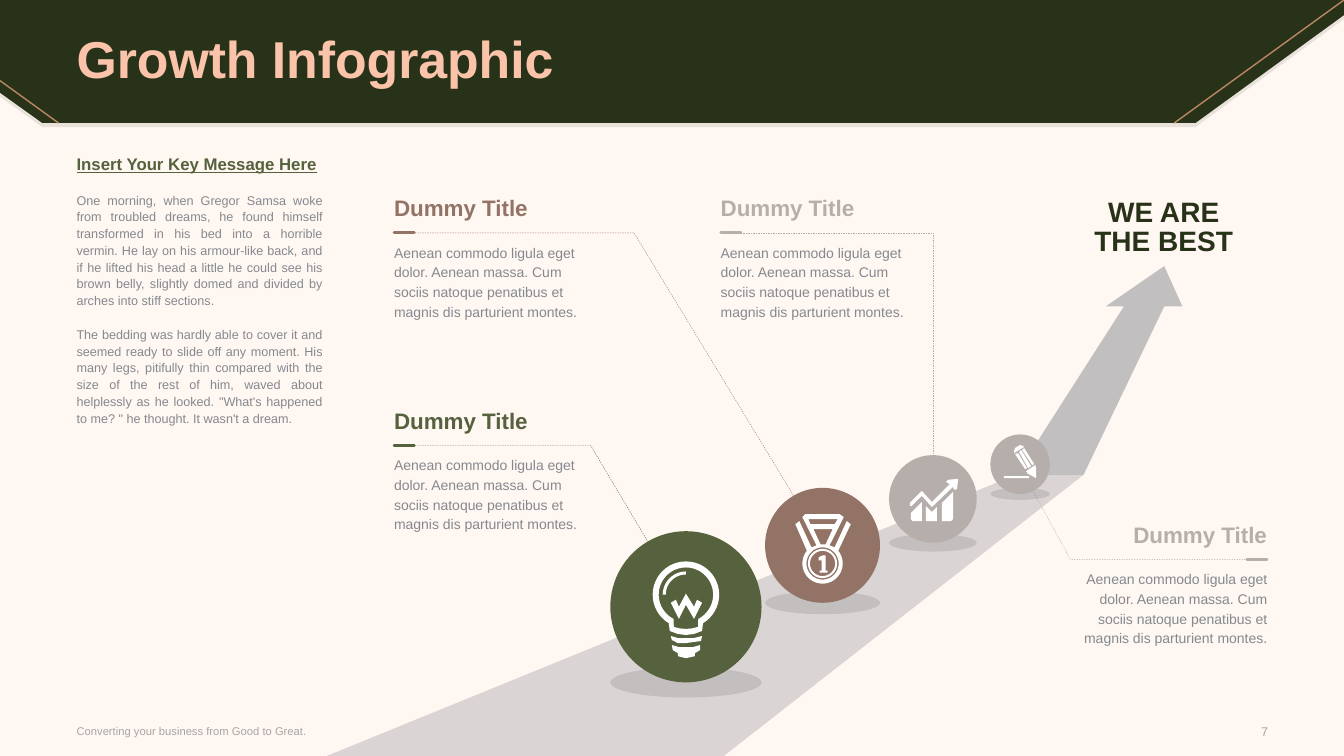
from dataclasses import dataclass
from math import cos, radians, sin

from lxml.etree import SubElement
from pptx import Presentation
from pptx.dml.color import RGBColor
from pptx.enum.dml import MSO_LINE
from pptx.enum.shapes import MSO_CONNECTOR, MSO_SHAPE
from pptx.enum.text import MSO_ANCHOR as Anchor, MSO_AUTO_SIZE as AutoSize, PP_ALIGN as Align
from pptx.oxml.ns import qn
from pptx.util import Inches, Pt

CELL = Inches(0.1)  # one column or row of the grid
COLUMNS, ROWS = 133.33, 75


@dataclass(frozen=True)
class Theme:
    font: str = "Arial"
    paper: str = "FFF7F2"
    forest: str = "283218"
    peach: str = "FBC4AA"
    copper: str = "B98763"
    green: str = "56613D"
    brown: str = "927365"
    taupe: str = "B6AEAB"
    gray: str = "85898F"
    footer: str = "A6A6A6"
    white: str = "FFFFFF"
    black: str = "000000"
    title_size: float = 37
    slogan_size: float = 20
    heading_size: float = 16
    message_size: float = 12
    body_size: float = 10
    small_size: float = 9
    footer_size: float = 8


def grid(*cells):
    return [round(cell * CELL) for cell in cells]


def arc(column, row, radius, start=0, end=360):
    """Points along an arc; angles in degrees, clockwise from the right."""
    steps = 40
    angles = [radians(start + (end - start) * step / steps) for step in range(steps + 1)]
    return [(column + radius * cos(angle), row + radius * sin(angle)) for angle in angles]


class InfographicSlide:
    def __init__(self, presentation, theme):
        self.theme = theme
        self.slide = presentation.slides.add_slide(presentation.slide_layouts[5])
        self.shapes = self.slide.shapes
        background = self.slide.background.fill
        background.solid()
        background.fore_color.rgb = RGBColor.from_string(theme.paper)

    def paint(self, shape, color, opacity=100):
        shape.shadow.inherit = False
        shape.fill.solid()
        shape.fill.fore_color.rgb = RGBColor.from_string(color)
        shape.line.fill.background()
        if opacity < 100:
            tint = shape._element.spPr.find(".//" + qn("a:srgbClr"))
            SubElement(tint, qn("a:alpha")).set("val", str(opacity * 1000))

    def outline(self, contours, closed=True):
        first, *others = [[grid(*point) for point in contour] for contour in contours]
        builder = self.shapes.build_freeform(*first[0])
        builder.add_line_segments(first[1:], close=closed)
        for contour in others:
            builder.move_to(*contour[0])
            builder.add_line_segments(contour[1:], close=closed)
        return builder.convert_to_shape()

    def polygon(self, points, color, opacity=100):
        self.paint(self.outline([points]), color, opacity)

    def leader(self, points, color):
        shape = self.outline([points], closed=False)
        shape.shadow.inherit = False
        shape.fill.background()
        shape.line.color.rgb = RGBColor.from_string(color)
        shape.line.width = Pt(0.25)
        shape.line.dash_style = MSO_LINE.DASH

    def line(self, start, end, color, width):
        connector = self.shapes.add_connector(MSO_CONNECTOR.STRAIGHT, *grid(*start, *end))
        connector.line.color.rgb = RGBColor.from_string(color)
        connector.line.width = Pt(width)
        properties = connector._element.spPr
        properties.find(qn("a:ln")).set("cap", "rnd")
        SubElement(properties, qn("a:effectLst"))

    def ellipse(self, area, color, opacity=100):
        self.paint(self.shapes.add_shape(MSO_SHAPE.OVAL, *grid(*area)), color, opacity)

    def milestone(self, center, diameter, color, icon):
        """A ball with its ground shadow; icon points are tenths of a cell from the center."""
        column, row = center
        radius = diameter / 2
        self.ellipse((column - radius, row + 0.8 * radius, diameter, 0.2 * diameter),
                     self.theme.black, 10)
        self.ellipse((column - radius, row - radius, diameter, diameter), color)
        contours = [[(column + x / 10, row + y / 10) for x, y in contour] for contour in icon]
        self.paint(self.outline(contours), self.theme.white)

    def fill_frame(self, frame, texts, size, color, bold=False, align=Align.LEFT,
                   spacing=None, gap=0, anchor=Anchor.TOP):
        frame.word_wrap = True
        frame.auto_size = AutoSize.NONE
        frame.vertical_anchor = anchor
        frame.margin_left = frame.margin_right = frame.margin_top = frame.margin_bottom = 0
        for index, text in enumerate(texts):
            paragraph = frame.paragraphs[0] if index == 0 else frame.add_paragraph()
            paragraph.text = text
            paragraph.alignment = align
            paragraph.line_spacing = spacing
            paragraph.space_before = Pt(gap if index else 0)
            font = paragraph.font
            font.name, font.size, font.bold = self.theme.font, Pt(size), bold
            font.color.rgb = RGBColor.from_string(color)

    def text(self, area, texts, size, color, **style):
        frame = self.shapes.add_textbox(*grid(*area)).text_frame
        self.fill_frame(frame, texts, size, color, **style)
        return frame

    def title(self, area, text):
        title = self.shapes.title
        title.left, title.top, title.width, title.height = grid(*area)
        self.fill_frame(title.text_frame, [text], self.theme.title_size, self.theme.peach,
                        bold=True, spacing=0.9, anchor=Anchor.MIDDLE)
        self.shapes._spTree.append(title._element)  # in front of the header band

    def caption(self, column, row, color, align=Align.LEFT):
        """Heading, short rule at the given row, and body text."""
        width, rule = 19.3, 2
        start = column + width - rule if align == Align.RIGHT else column
        self.text((column, row + 0.85, width, 7.9), [CAPTION_BODY], self.theme.body_size,
                  self.theme.gray, align=align, spacing=Pt(14))
        self.line((start, row), (start + rule, row), color, 2)
        self.text((column, row - 3.8, width, 2.7), ["Dummy Title"], self.theme.heading_size,
                  color, bold=True, align=align)


CAPTION_BODY = ("Aenean commodo ligula eget dolor. Aenean massa. Cum sociis natoque "
                "penatibus et magnis dis parturient montes.")
MESSAGE = [
    "Insert Your Key Message Here",
    "One morning, when Gregor Samsa woke from troubled dreams, he found himself transformed in "
    "his bed into a horrible vermin. He lay on his armour-like back, and if he lifted his head a "
    "little he could see his brown belly, slightly domed and divided by arches into stiff sections.",
    "The bedding was hardly able to cover it and seemed ready to slide off any moment. His many "
    "legs, pitifully thin compared with the size of the rest of him, waved about helplessly as he "
    "looked. \"What's happened to me? \" he thought. It wasn't a dream.",
]

# Icons, as lists of contours
BULB = [
    arc(0, -12, 33, 121, 419) + [(16, 24), (8, 27), (0, 28), (-8, 27), (-16, 24)],
    arc(0, -12, 27, 117, 423) + [(12, 20), (6, 21.5), (0, 22), (-6, 21.5), (-12, 20)],
    arc(0, -12, 23, 180, 270) + arc(0, -12, 20, 270, 180),
    [(-15, 29), (-14, 33), (-8, 36), (0, 36), (15, 34), (16, 29), (8, 31), (-8, 31)],
    [(-14, 38), (-13, 43), (-8, 46), (-8, 49), (0, 51), (9, 49), (9, 46), (14, 43), (14, 38),
     (7, 40), (-7, 40)],
    [(8, 0), (0, -13), (-7, 0), (-10, -7), (-15, -4), (-7, 12), (0, -2), (8, 12), (16, -4),
     (11, -7)],
]
MEDAL = [
    [(28, -21), (24, -24), (12, 2), (7, 0), (21, -28), (17, -31), (-17, -31), (-20, -28), (-6, 0),
     (-11, 2), (-23, -24), (-27, -21)] + arc(0, 18, 20, 219, -39),
    [(-14, -26), (15, -26), (12, -21), (-12, -21)],
    [(-9, -16), (10, -16), (3, -1), (-2, -1)],
    *[arc(0, 18, radius) for radius in (16, 14.5, 12.5)],
    [(3, 10), (0, 10), (-4, 12), (-4, 15), (-1, 15), (-1, 25), (-3, 25), (-3, 27), (5, 27),
     (5, 25), (3, 25)],
]
GROWTH = [
    [(15, -19), (13, -17), (16, -15), (18, -16), (-1, 3), (-11, -8), (-23, 4), (-23, 7), (-21, 7),
     (-11, -3), (-1, 8), (21, -13), (20, -11), (22, -9), (24, -10), (25, -20)],
    [(-7, 7), (-7, 22), (4, 22), (4, 8), (-1, 13)],
    [(-22, 20), (-20, 22), (-11, 22), (-11, 3), (-22, 14)],
    [(9, 4), (9, 22), (18, 22), (20, 20), (20, -7), (10, 3)],
]
PENCIL = [
    [(7, 8), (7, 9), (16, 14), (16, 4), (15, 1), (6, 7)],
    [(12, 1), (14, 0), (4, -16), (2, -14)],
    [(11, 2), (1, -14), (-1, -12), (8, 4)],
    [(-5, -10), (5, 5), (7, 4), (-2, -11)],
    [(-6, -11), (4, -17), (3, -18), (0, -19), (-5, -16), (-6, -13)],
    [(-16, 14), (9, 14), (9, 12), (-16, 12)],
]


def main():
    presentation = Presentation()
    presentation.slide_width, presentation.slide_height = grid(COLUMNS, ROWS)
    theme = Theme()
    slide = InfographicSlide(presentation, theme)

    # Header band with its soft shadow and copper lines
    for drop, opacity in ((0.4, 10), (0, 100)):
        band = [(0, 0), (COLUMNS, 0), (COLUMNS, 1.5), (118.6, 12.2), (4.2, 12.2), (0, 9.2)]
        slide.polygon([(x, y + drop) for x, y in band], theme.forest, opacity)
    slide.line((COLUMNS, 0), (116.5, 12.2), theme.copper, 1)
    slide.line((0, 8), (5.8, 12.2), theme.copper, 1)
    slide.title((7.6, 0.3, 118.1, 11.7), "Growth Infographic")

    # Key message and footer
    message = slide.text((7.6, 15.6, 24.4, 51.9), MESSAGE, theme.small_size, theme.gray,
                         align=Align.JUSTIFY, spacing=Pt(12), gap=12)
    heading = message.paragraphs[0].font
    heading.size, heading.bold, heading.underline = Pt(theme.message_size), True, True
    heading.color.rgb = RGBColor.from_string(theme.green)
    slide.text((7.6, 71.2, 52.3, 2.6), ["Converting your business from Good to Great."],
               theme.footer_size, theme.footer, anchor=Anchor.MIDDLE)
    slide.text((119.5, 71.3, 6.3, 2.6), ["7"], theme.small_size, theme.footer,
               align=Align.RIGHT, anchor=Anchor.MIDDLE)

    # Road turning into an arrow
    slide.polygon([(32.4, 75), (71.8, 75), (107.5, 47.1), (100.8, 47.1)], theme.gray, 30)
    slide.polygon([(117.3, 30.4), (115.5, 26.4), (109.7, 30.4), (111.5, 30.4), (100.8, 47.1),
                   (107.5, 47.1), (115.5, 30.4)], theme.gray, 50)

    # Leaders, milestones and captions
    slide.leader([(124.3, 55.5), (106.2, 55.5), (101.1, 46.2)], theme.taupe)
    slide.leader([(40.9, 44.2), (58.6, 44.2), (68, 60)], theme.green)
    slide.leader([(40.9, 23.1), (62.9, 23.1), (81.6, 53.9)], theme.brown)
    slide.leader([(73, 23.1), (92.6, 23.1), (92.6, 49.5)], theme.taupe)
    slide.milestone((68.05, 60.2), 15, theme.green, BULB)
    slide.milestone((81.6, 54.1), 11.4, theme.brown, MEDAL)
    slide.milestone((92.55, 49.5), 8.7, theme.taupe, GROWTH)
    slide.milestone((101.2, 46.05), 5.9, theme.taupe, PENCIL)
    slide.caption(39.1, 44.2, theme.green)
    slide.caption(39.1, 23.1, theme.brown)
    slide.caption(71.5, 23.1, theme.taupe)
    slide.caption(106.4, 55.5, theme.taupe, Align.RIGHT)
    slide.text((105.8, 19.9, 19.3, 5.6), ["WE ARE", "THE BEST"], theme.slogan_size, theme.forest,
               bold=True, align=Align.CENTER, spacing=Pt(20))

    presentation.save("out.pptx")


if __name__ == "__main__":
    main()
